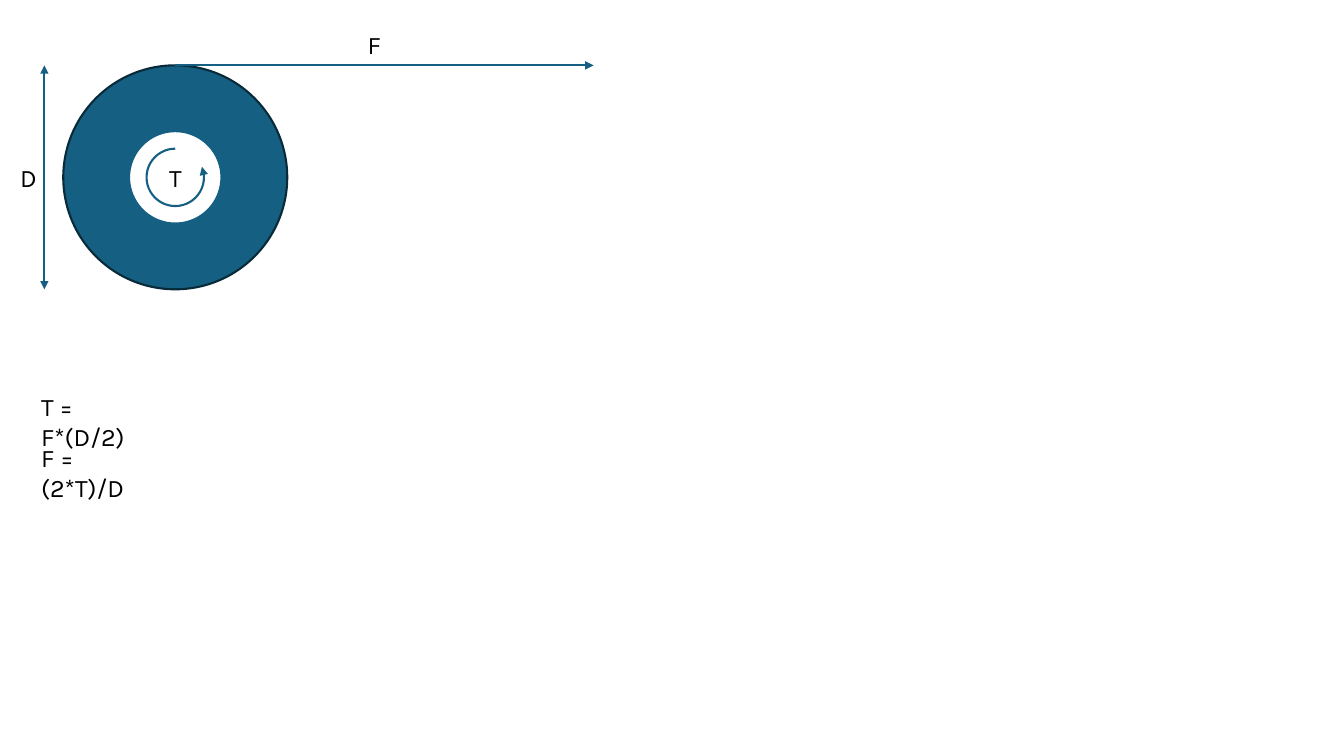
from lxml import etree
from pptx import Presentation
from pptx.dml import color
from pptx.enum import shapes, text
from pptx.oxml import ns
from pptx.util import Pt

HUES = {"blue": "156082", "edge": "092A39", "hub": "FFFFFF", "ink": "000000"}
FONT, SIZE, LINE = "Karla", 18, 1.5
MID = (125.2, 126.7)
DISC, HUB, TURN = 160, 66, 41
PULL, GAUGE = 424, 31.7
HIGH = 29
LABELS = [
    ("T", 113.7, 112.2, 23, False),
    ("F", 255.5, 17.2, 24.5, False),
    ("D", 7.3, 112.2, 27.4, False),
    ("T = F*(D/2)", 22.3, 275.8, 97, True),
    ("F = (2*T)/D", 22.3, 312.5, 97, True),
]


def hue(name):
    return color.RGBColor.from_string(HUES[name])


def stroke(item, name, ends=()):
    item.line.color.rgb = hue(name)
    item.line.width = Pt(LINE)
    ln = item.element.spPr.find(ns.qn("a:ln"))
    for end in ends:
        etree.SubElement(ln, ns.qn("a:" + end), type="triangle")


def ring(kind, size, fill, edge, ends=()):
    x, y = (c - size / 2 for c in MID)
    item = slide.shapes.add_shape(kind, Pt(x), Pt(y), Pt(size), Pt(size))
    item.shadow.inherit = False
    if fill:
        item.fill.solid()
        item.fill.fore_color.rgb = hue(fill)
    else:
        item.fill.background()
    stroke(item, edge, ends)
    return item


def arrow(x1, y1, x2, y2, ends):
    item = slide.shapes.add_connector(
        shapes.MSO_CONNECTOR.STRAIGHT, Pt(x1), Pt(y1), Pt(x2), Pt(y2))
    stroke(item, "blue", ends)
    etree.SubElement(item.element.spPr, ns.qn("a:effectLst"))


def label(words, x, y, wide, wrap):
    box = slide.shapes.add_textbox(Pt(x), Pt(y), Pt(wide), Pt(HIGH))
    frame = box.text_frame
    frame.word_wrap = wrap
    frame.auto_size = text.MSO_AUTO_SIZE.SHAPE_TO_FIT_TEXT
    para = frame.paragraphs[0]
    para.text = words
    para.font.name = FONT
    para.font.size = Pt(SIZE)
    para.font.color.rgb = hue("ink")


deck = Presentation()
deck.slide_width, deck.slide_height = Pt(960), Pt(540)
slide = deck.slides.add_slide(deck.slide_layouts[6])

top, base = MID[1] - DISC / 2, MID[1] + DISC / 2
ring(shapes.MSO_SHAPE.OVAL, DISC, "blue", "edge")
arrow(MID[0], top, PULL, top, ["tailEnd"])
ring(shapes.MSO_SHAPE.OVAL, HUB, "hub", "blue")
turn = ring(shapes.MSO_SHAPE.ARC, TURN, None, "blue", ["tailEnd"])
turn.adjustments[0] = 162
turn.adjustments[1] = 121
turn.element.spPr.find(ns.qn("a:xfrm")).set("flipH", "1")
arrow(GAUGE, top, GAUGE, base, ["headEnd", "tailEnd"])
for row in LABELS:
    label(*row)

deck.save("out.pptx")
